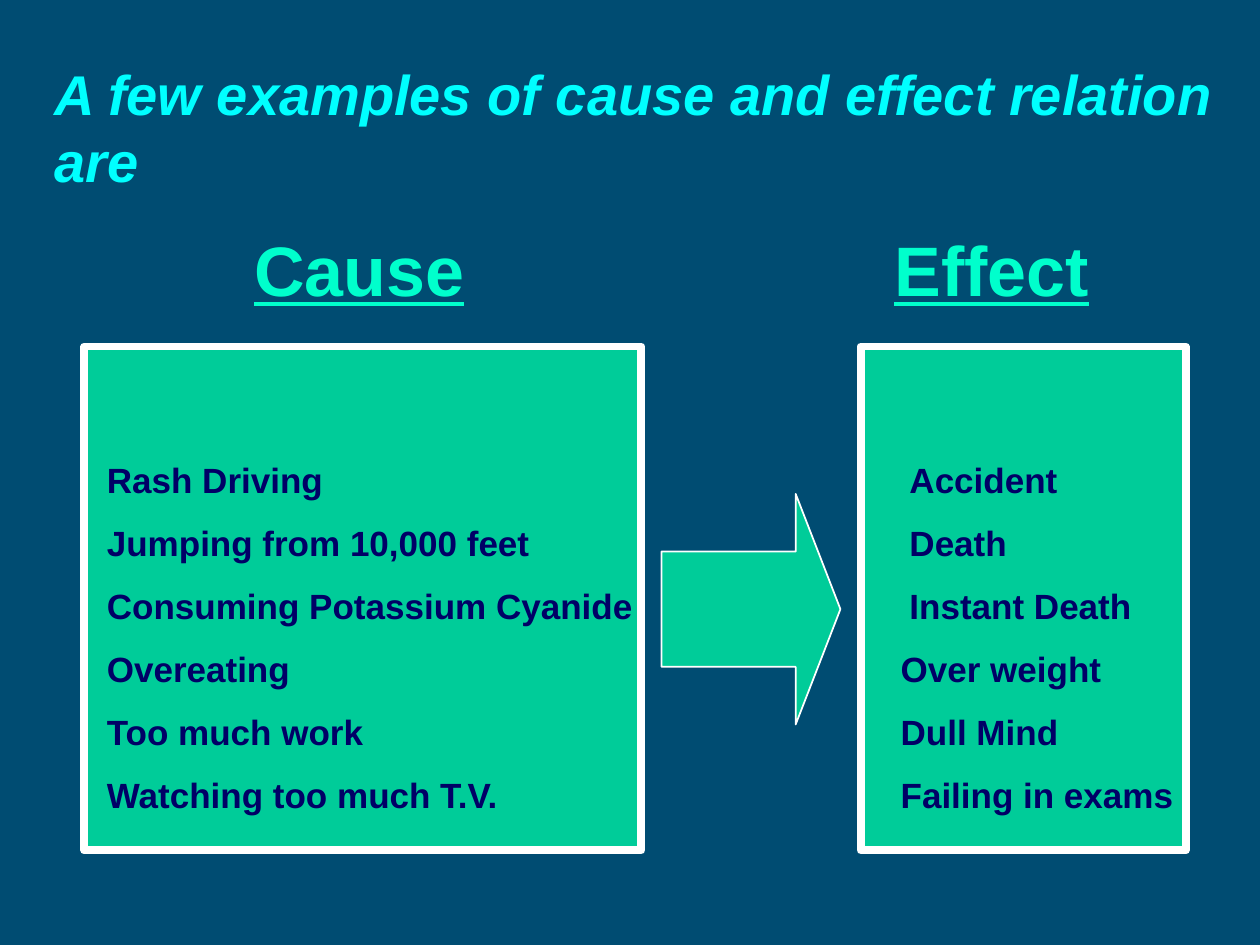
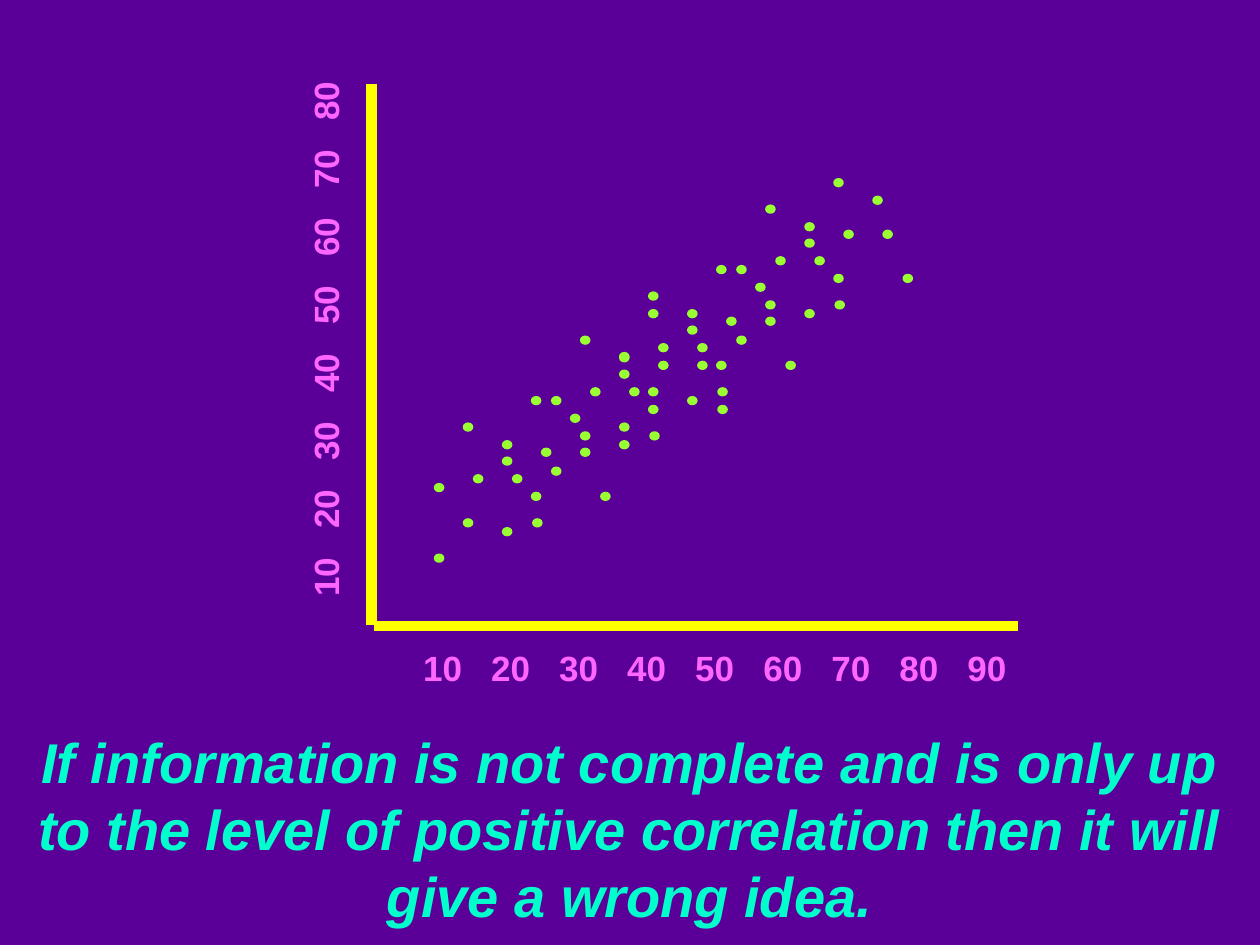
from itertools import product

from lxml import etree
from pptx import Presentation
from pptx.dml.color import RGBColor
from pptx.enum.shapes import MSO_CONNECTOR as Connector, MSO_SHAPE as Shape
from pptx.enum.text import MSO_ANCHOR as Anchor, MSO_AUTO_SIZE as AutoSize, PP_ALIGN as Align
from pptx.oxml.ns import qn
from pptx.util import Inches, Pt

FONT = "Arial"
BLUE = RGBColor(0x00, 0x4C, 0x72)
PURPLE = RGBColor(0x5A, 0x00, 0x98)
GREEN = RGBColor(0x00, 0xCC, 0x99)
WHITE = RGBColor(0xFF, 0xFF, 0xFF)
NAVY = RGBColor(0x00, 0x00, 0x66)
CYAN = RGBColor(0x00, 0xFF, 0xFF)
AQUA = RGBColor(0x00, 0xFF, 0xCC)
YELLOW = RGBColor(0xFF, 0xFF, 0x00)
PINK = RGBColor(0xFF, 0x66, 0xFF)
LIME = RGBColor(0x99, 0xFF, 0x33)

EXAMPLES = [
    ("Rash Driving", "Accident", 6.37),
    ("Jumping from 10,000 feet", "Death", 6.37),
    ("Consuming Potassium Cyanide", "Instant Death", 6.37),
    ("Overeating", "Over weight", 6.3),
    ("Too much work", "Dull Mind", 6.3),
    ("Watching too much T.V.", "Failing in exams", 6.3),
]

TICK_GAP = 0.54
CLUSTER_STARTS = [(3.45, 3.36), (4.38, 2.67), (4.92, 2.32), (5.85, 1.63)]
CLUSTER_STEPS = [(0, 0), (0.54, -0.21)]
CLUSTER_DOTS = [(0.78, 0.76), (0, 0.48), (0.23, 0.76), (0, 1.04),
                (0.23, 0), (0.62, 0.41), (0.54, 0.14), (0.31, 0.41)]
MISSING_DOT = (CLUSTER_STARTS[1], CLUSTER_STEPS[1], CLUSTER_DOTS[6])


class SlideBuilder:
    """Hold the deck's style and current slide, and draw its elements."""

    def __init__(self):
        self.deck = Presentation()
        self.deck.slide_width, self.deck.slide_height = Inches(10), Inches(7.5)
        self.slide = None

    def add_slide(self, background):
        self.slide = self.deck.slides.add_slide(self.deck.slide_layouts[5])
        self.slide.background.fill.solid()
        self.slide.background.fill.fore_color.rgb = background

    def add_span(self, para, text, size, color, italic=False, underline=False, tabs=()):
        if tabs:
            tab_list = etree.SubElement(para._p.get_or_add_pPr(), qn("a:tabLst"))
            for stop in tabs:
                etree.SubElement(tab_list, qn("a:tab"), pos=str(Inches(stop)), algn="l")
        span = para.add_run()
        span.text = text
        font = span.font
        font.name, font.size, font.bold = FONT, Pt(size), True
        font.italic, font.underline = italic, underline
        font.color.rgb = color

    def title(self, text, left, top, width, height, color, align=Align.LEFT):
        box = self.slide.shapes.title
        box.left, box.top, box.width, box.height = map(Inches, (left, top, width, height))
        frame = box.text_frame
        frame.word_wrap, frame.auto_size = True, AutoSize.NONE
        frame.vertical_anchor = Anchor.TOP
        para = frame.paragraphs[0]
        para.alignment = align
        self.add_span(para, text, 32, color, italic=True)

    def text_frame(self, left, top, width, height, rotation=0):
        box = self.slide.shapes.add_textbox(*map(Inches, (left, top, width, height)))
        box.rotation = rotation
        box.text_frame.word_wrap = True
        return box.text_frame

    def heading(self, text, left, width):
        frame = self.text_frame(left, 1.75, width, 0.77)
        self.add_span(frame.paragraphs[0], text, 40, AQUA, underline=True)

    def example_list(self, examples):
        frame = self.text_frame(0.75, 2.92, 8.83, 3.6)
        frame.margin_top = Inches(0.55)
        for index, (cause, effect, stop) in enumerate(examples):
            para = frame.add_paragraph() if index else frame.paragraphs[0]
            para.line_spacing = 1.5
            self.add_span(para, f"{cause}\t{effect}", 20, NAVY, tabs=[stop])

    def tick_labels(self, count, left, top, width, rotation=0):
        frame = self.text_frame(left, top, width, 0.43, rotation)
        frame.margin_right = 0
        labels = "\t".join(str(10 * number) for number in range(1, count + 1))
        stops = [TICK_GAP * number for number in range(1, count)]
        self.add_span(frame.paragraphs[0], labels, 20, PINK, tabs=stops)

    def shape(self, kind, left, top, width, height, fill, line, line_width):
        shape = self.slide.shapes.add_shape(kind, *map(Inches, (left, top, width, height)))
        shape.shadow.inherit = False
        shape.fill.solid()
        shape.fill.fore_color.rgb = fill
        shape.line.color.rgb = line
        shape.line.width = Pt(line_width)
        return shape

    def axis(self, *ends):
        axis = self.slide.shapes.add_connector(Connector.STRAIGHT, *map(Inches, ends))
        axis.line.color.rgb = YELLOW
        axis.line.width = Pt(6)
        etree.SubElement(axis._element.spPr, qn("a:effectLst"))


def add_examples_slide(builder):
    builder.add_slide(BLUE)
    builder.title("A few examples of cause and effect relation are",
                  0.33, 0.42, 9.42, 1.17, CYAN)
    for left, width in [(0.67, 4.42), (6.83, 2.58)]:
        builder.shape(Shape.RECTANGLE, left, 2.75, width, 4, GREEN, WHITE, 4.5)
    builder.example_list(EXAMPLES)
    arrow = builder.shape(Shape.RIGHT_ARROW, 5.25, 3.92, 1.42, 1.83, GREEN, WHITE, 1)
    arrow.adjustments[1] = 0.25
    builder.heading("Cause", 1.92, 2.67)
    builder.heading("Effect", 7, 2.42)


def add_correlation_slide(builder):
    builder.add_slide(PURPLE)
    builder.title("If information is not complete and is only up to the level of "
                  "positive correlation then it will give a wrong idea.",
                  0, 5.72, 10, 1.7, AQUA, Align.CENTER)
    builder.axis(2.97, 4.97, 8.08, 4.97)
    builder.tick_labels(9, 3.26, 5.08, 4.84)
    builder.tick_labels(8, 0.43, 2.47, 4.3, rotation=270)
    builder.axis(2.95, 4.96, 2.95, 0.67)
    for parts in product(CLUSTER_STARTS, CLUSTER_STEPS, CLUSTER_DOTS):
        if parts != MISSING_DOT:
            left, top = map(sum, zip(*parts))
            builder.shape(Shape.OVAL, left, top, 0.07, 0.06, LIME, LIME, 1)


def main():
    builder = SlideBuilder()
    add_examples_slide(builder)
    add_correlation_slide(builder)
    builder.deck.save("out.pptx")


if __name__ == "__main__":
    main()
